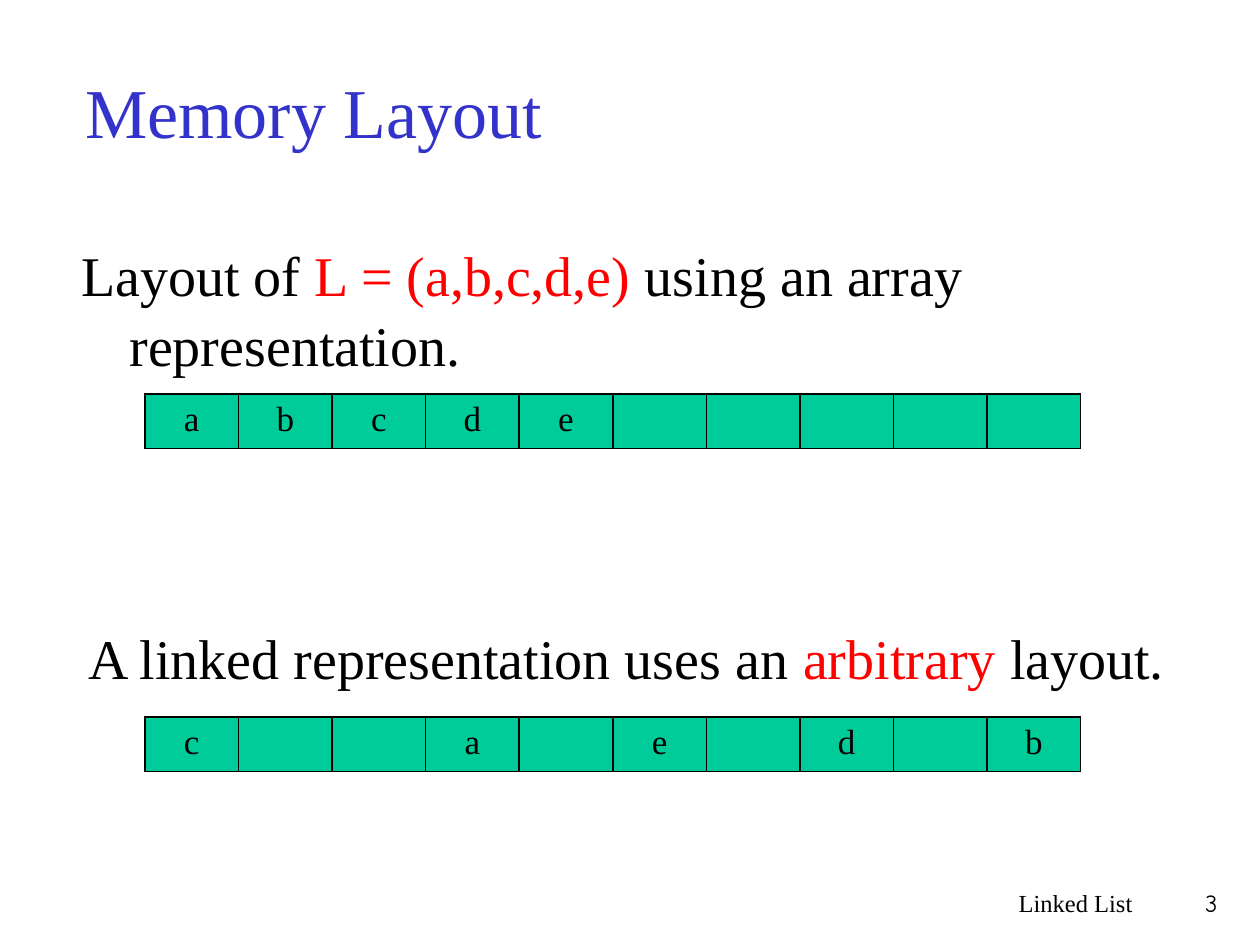
import dataclasses

import lxml.etree
import pptx
import pptx.dml.color
import pptx.enum.text
import pptx.oxml.ns
import pptx.util

PIXEL = pptx.util.Inches(1) / 126
SERIF = "Times New Roman"
COLORS = {"title": "3333CC", "text": "000000", "accent": "FF0000", "cell": "00CC99"}
ALIGN = pptx.enum.text.PP_ALIGN
ANCHOR = pptx.enum.text.MSO_ANCHOR


@dataclasses.dataclass
class Label:
    """A one-paragraph text box; spans are (text, colour name) pairs."""
    left: int
    top: int
    width: int
    height: int
    size: int
    spans: list[tuple[str, str]]
    font: str = SERIF
    align: ALIGN = ALIGN.LEFT
    anchor: ANCHOR = ANCHOR.TOP
    inset_top: int = 6
    hanging: int = 0
    line_spacing: float = 1.0


@dataclasses.dataclass
class MemoryRow:
    """A row of memory cells, with one letter or a space per cell."""
    top: int
    letters: str


LABELS = [
    Label(73, 32, 1071, 157, 40, [("Memory Layout", "title")], anchor=ANCHOR.MIDDLE),
    Label(69, 224, 1086, 126, 32,
          [("Layout of ", "text"), ("L = (a,b,c,d,e) ", "accent"),
           ("using an array representation.", "text")],
          inset_top=14, hanging=48, line_spacing=1.04),
    Label(76, 611, 1165, 79, 32,
          [("A linked representation uses an ", "text"), ("arbitrary", "accent"),
           (" layout.", "text")], inset_top=12),
    Label(746, 882, 399, 63, 14, [("Linked List", "text")], align=ALIGN.RIGHT),
    Label(1144, 882, 86, 63, 14, [("3", "text")], font="Comic Neue", align=ALIGN.RIGHT),
]
ROWS = [MemoryRow(394, "abcde     "), MemoryRow(717, "c  a e d b")]


def px(pixels: int) -> pptx.util.Emu:
    """Turn pixels into EMU."""
    return pptx.util.Emu(round(pixels * PIXEL))


def rgb(name: str) -> pptx.dml.color.RGBColor:
    """Look up a named colour."""
    return pptx.dml.color.RGBColor.from_string(COLORS[name])


def add_label(page, label: Label) -> None:
    """Draw a text box with its coloured spans."""
    box = page.shapes.add_textbox(*map(px, (label.left, label.top, label.width, label.height)))
    frame = box.text_frame
    frame.word_wrap = True
    frame.vertical_anchor = label.anchor
    frame.margin_top = px(label.inset_top)
    para = frame.paragraphs[0]
    para.alignment = label.align
    para.line_spacing = label.line_spacing
    para.font.name = label.font
    para.font.size = pptx.util.Pt(label.size)
    if label.hanging:
        properties = para._p.get_or_add_pPr()
        properties.set("marL", str(px(label.hanging)))
        properties.set("indent", str(-px(label.hanging)))
    for text, color in label.spans:
        span = para.add_run()
        span.text = text
        span.font.color.rgb = rgb(color)


def add_borders(cell) -> None:
    """Put a thin line on all four sides of a cell."""
    properties = cell._tc.get_or_add_tcPr()
    tag = pptx.oxml.ns.qn
    for index, side in enumerate(("a:lnL", "a:lnR", "a:lnT", "a:lnB")):
        line = lxml.etree.Element(tag(side), w=str(pptx.util.Pt(1)))
        fill = lxml.etree.SubElement(line, tag("a:solidFill"))
        lxml.etree.SubElement(fill, tag("a:srgbClr"), val=COLORS["text"])
        properties.insert(index, line)


def add_memory_row(page, row: MemoryRow) -> None:
    """Draw a one-row table of equal memory cells."""
    frame = page.shapes.add_table(1, len(row.letters), px(145), px(row.top), px(936), px(54))
    table = frame.table
    table.first_row = table.horz_banding = False
    for cell, letter in zip(table.iter_cells(), row.letters):
        cell.fill.solid()
        cell.fill.fore_color.rgb = rgb("cell")
        add_borders(cell)
        para = cell.text_frame.paragraphs[0]
        para.alignment = ALIGN.CENTER
        para.font.name = SERIF
        para.font.size = pptx.util.Pt(20)
        para.font.color.rgb = rgb("text")
        if letter.strip():
            para.add_run().text = letter


def main() -> None:
    """Build and save the deck."""
    deck = pptx.Presentation()
    deck.slide_width, deck.slide_height = px(1260), px(945)
    page = deck.slides.add_slide(deck.slide_layouts[6])
    for label in LABELS:
        add_label(page, label)
    for row in ROWS:
        add_memory_row(page, row)
    deck.save("out.pptx")


main()
